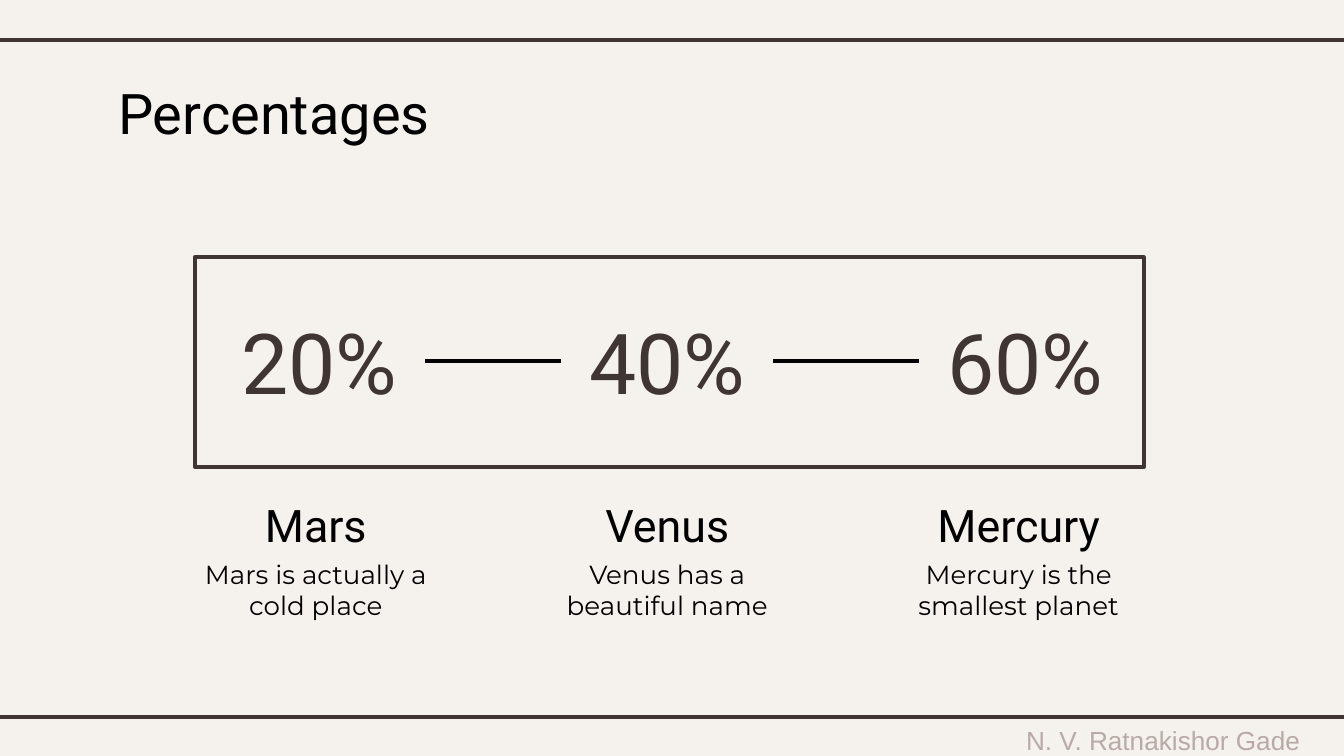
import pptx
import pptx.dml.color
import pptx.enum.shapes
import pptx.enum.text
import pptx.oxml.ns
import pptx.util
from lxml import etree

SCALE = 4572
CREAM = pptx.dml.color.RGBColor(0xF5, 0xF2, 0xEE)
BROWN = pptx.dml.color.RGBColor(0x3F, 0x35, 0x33)
TAUPE = pptx.dml.color.RGBColor(0xB8, 0xAA, 0xA7)
BLACK = pptx.dml.color.RGBColor(0, 0, 0)
LEFT = pptx.enum.text.PP_ALIGN.LEFT
CENTER = pptx.enum.text.PP_ALIGN.CENTER
TOP = pptx.enum.text.MSO_ANCHOR.TOP
MIDDLE = pptx.enum.text.MSO_ANCHOR.MIDDLE


def px(length):
    return pptx.util.Emu(length * SCALE)


class SlideBuilder:
    line_width = pptx.util.Pt(2.25)
    inset = px(20)

    def __init__(self, slide):
        self.slide = slide
        slide.background.fill.solid()
        slide.background.fill.fore_color.rgb = CREAM

    def text(self, words, left, top, width, height, size, font="Roboto",
             color=BLACK, align=CENTER, anchor=TOP):
        box = self.slide.shapes.add_textbox(px(left), px(top), px(width), px(height))
        frame = box.text_frame
        frame_format = {
            "word_wrap": True,
            "vertical_anchor": anchor,
            "margin_left": self.inset,
            "margin_top": self.inset,
            "margin_right": self.inset,
            "margin_bottom": self.inset,
        }
        for name, value in frame_format.items():
            setattr(frame, name, value)
        para = frame.paragraphs[0]
        para.alignment = align
        span = para.add_run()
        span.text = words
        for name, value in {"name": font, "size": pptx.util.Pt(size)}.items():
            setattr(span.font, name, value)
        span.font.color.rgb = color
        return box

    def frame(self, left, top, width, height):
        box = self.slide.shapes.add_shape(
            pptx.enum.shapes.MSO_SHAPE.RECTANGLE,
            px(left), px(top), px(width), px(height))
        box.shadow.inherit = False
        box.fill.background()
        box.line.color.rgb = BROWN
        box.line.width = self.line_width

    def line(self, start_x, start_y, end_x, end_y, color):
        connector = self.slide.shapes.add_connector(
            pptx.enum.shapes.MSO_CONNECTOR.STRAIGHT,
            px(start_x), px(start_y), px(end_x), px(end_y))
        connector.line.color.rgb = color
        connector.line.width = self.line_width
        etree.SubElement(connector.element.spPr, pptx.oxml.ns.qn("a:effectLst"))
        return connector

    def link(self, left_box, right_box):
        connector = self.line(0, 0, 0, 0, BLACK)
        connector.begin_connect(left_box, 3)
        connector.end_connect(right_box, 1)


def main():
    deck = pptx.Presentation()
    deck.slide_width = px(2000)
    deck.slide_height = px(1125)
    builder = SlideBuilder(deck.slides.add_slide(deck.slide_layouts[6]))

    builder.text("N. V. Ratnakishor Gade", 1462, 1083, 538, 38, 14,
                 font="Arial", color=TAUPE, anchor=MIDDLE)
    for rule_y in (60, 1067):
        builder.line(-16, rule_y, 2016, rule_y, BROWN)
    builder.text("Percentages", 156, 97, 698, 126, 30, align=LEFT)
    builder.frame(290, 383, 1412, 312)

    planets = [
        ("Mars", "Mars is actually a cold place", "20%", 470, 475),
        ("Venus", "Venus has a beautiful name", "40%", 993, 993),
        ("Mercury", "Mercury is the smallest planet", "60%", 1516, 1526),
    ]
    percent_boxes = []
    for planet, fact, percent, label_center, percent_center in planets:
        builder.text(planet, label_center - 180, 721, 360, 96, 24)
        builder.text(fact, label_center - 202, 811, 404, 126, 14, font="Montserrat")
        percent_boxes.append(builder.text(
            percent, percent_center - 158, 444, 316, 186, 45,
            color=BROWN, anchor=MIDDLE))
    for left_box, right_box in zip(percent_boxes, percent_boxes[1:]):
        builder.link(left_box, right_box)

    deck.save("out.pptx")


if __name__ == "__main__":
    main()
